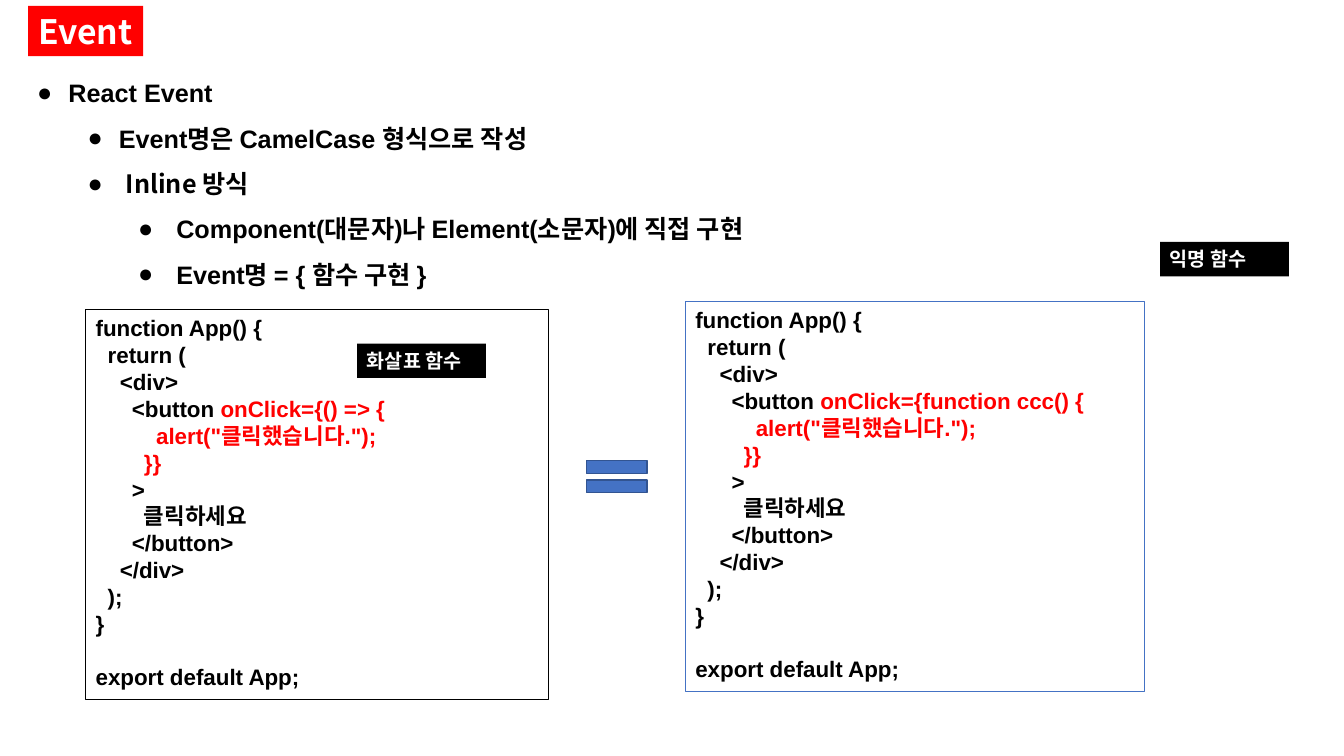
from dataclasses import dataclass

from lxml.etree import SubElement
from pptx import Presentation
from pptx.dml.color import RGBColor
from pptx.enum.shapes import MSO_SHAPE as Preset
from pptx.enum.text import MSO_ANCHOR as Anchor, PP_ALIGN as Align
from pptx.oxml.ns import qn
from pptx.util import Inches, Pt

COLORS = {"black": "000000", "white": "FFFFFF", "red": "FF0000",
          "blue": "4472C4", "navy": "325491"}
LATIN, KOREAN = "Arial", "Noto Sans CJK KR"
COLUMNS, ROWS = 32, 18
CODE_INDENT = 0.12
CODE_LINE = 19

presentation = Presentation()
presentation.slide_width = Inches(40 / 3)
presentation.slide_height = Inches(7.5)
slide = presentation.slides.add_slide(presentation.slide_layouts[6])


@dataclass
class Area:
    column: float
    row: float
    columns: float
    rows: float

    def box(self) -> tuple:
        width = presentation.slide_width / COLUMNS
        height = presentation.slide_height / ROWS
        return (round(self.column * width), round(self.row * height),
                round(self.columns * width), round(self.rows * height))


@dataclass
class Label:
    text: str
    area: Area
    fill: str
    size: int


@dataclass
class Bullet:
    text: str
    level: int
    left: float
    hanging: float
    font: str = LATIN
    align: Align = Align.JUSTIFY


@dataclass
class CodeLine:
    level: int
    text: str = ""
    handler: str = ""
    space_before: int = 0


@dataclass
class CodeBox:
    area: Area
    border: str
    opening: str


def rgb(name: str) -> RGBColor:
    return RGBColor.from_string(COLORS[name])


def style_run(run, size: int, color: str, font: str) -> None:
    run.font.size = Pt(size)
    run.font.bold = True
    run.font.name = font
    run.font.color.rgb = rgb(color)
    SubElement(run.font._element, qn("a:ea"), typeface=KOREAN)


def set_indent(paragraph, left: float, hanging: float = 0):
    properties = paragraph._p.get_or_add_pPr()
    properties.set("marL", str(Inches(left)))
    properties.set("indent", str(-Inches(hanging)))
    return properties


def paragraph_at(text_frame, index: int):
    return text_frame.add_paragraph() if index else text_frame.paragraphs[0]


def draw_shape(preset: Preset, area: Area, fill: str = "", line: str = "",
               line_width: float = 0.75):
    shape = slide.shapes.add_shape(preset, *area.box())
    shape.shadow.inherit = False
    if fill:
        shape.fill.solid()
        shape.fill.fore_color.rgb = rgb(fill)
    else:
        shape.fill.background()
    if line:
        shape.line.color.rgb = rgb(line)
        shape.line.width = Pt(line_width)
    else:
        shape.line.fill.background()
    shape.text_frame.word_wrap = True
    shape.text_frame.vertical_anchor = Anchor.TOP
    return shape


def draw_label(label: Label) -> None:
    text_frame = draw_shape(Preset.RECTANGLE, label.area, label.fill).text_frame
    text_frame.text = label.text
    paragraph = text_frame.paragraphs[0]
    paragraph.alignment = Align.LEFT
    style_run(paragraph.runs[0], label.size, "white", KOREAN)


def draw_bullets(area: Area, bullets: list[Bullet]) -> None:
    text_frame = slide.shapes.add_textbox(*area.box()).text_frame
    text_frame.word_wrap = True
    for index, bullet in enumerate(bullets):
        paragraph = paragraph_at(text_frame, index)
        paragraph.text = bullet.text
        paragraph.level = bullet.level
        paragraph.alignment = bullet.align
        paragraph.line_spacing = 1.5
        properties = set_indent(paragraph, bullet.left, bullet.hanging)
        SubElement(properties, qn("a:buFont"), typeface=LATIN)
        SubElement(properties, qn("a:buChar"), char="●")
        style_run(paragraph.runs[0], 18, "black", bullet.font)


def draw_code(code: CodeBox) -> None:
    lines = [
        CodeLine(0, "function App() {"),
        CodeLine(1, "return ("),
        CodeLine(2, "<div>"),
        CodeLine(3, "<button ", code.opening),
        CodeLine(5, handler='alert("클릭했습니다.");'),
        CodeLine(4, handler="}}"),
        CodeLine(3, ">"),
        CodeLine(4, "클릭하세요"),
        CodeLine(3, "</button>"),
        CodeLine(2, "</div>"),
        CodeLine(1, ");"),
        CodeLine(0, "}"),
        CodeLine(0, "export default App;", space_before=CODE_LINE),
    ]
    text_frame = draw_shape(Preset.RECTANGLE, code.area, line=code.border).text_frame
    for index, line in enumerate(lines):
        paragraph = paragraph_at(text_frame, index)
        paragraph.alignment = Align.LEFT
        paragraph.space_before = Pt(line.space_before)
        set_indent(paragraph, line.level * CODE_INDENT)
        for text, color in ((line.text, "black"), (line.handler, "red")):
            if text:
                run = paragraph.add_run()
                run.text = text
                style_run(run, 16, color, LATIN)


draw_bullets(Area(0.65, 1.37, 22.78, 5.54), [
    Bullet("React Event", 0, 0.31, 0.31),
    Bullet("Event명은 CamelCase 형식으로 작성", 1, 0.81, 0.31),
    Bullet("Inline 방식", 1, 0.88, 0.38, KOREAN, Align.LEFT),
    Bullet("Component(대문자)나 Element(소문자)에 직접 구현", 2, 1.38, 0.38),
    Bullet("Event명 = { 함수 구현 }", 2, 1.38, 0.38),
])

for code_box in (
    CodeBox(Area(2.04, 7.37, 11.02, 9.29), "black", "onClick={() => {"),
    CodeBox(Area(16.32, 7.18, 10.94, 9.29), "blue", "onClick={function ccc() {"),
):
    draw_code(code_box)

draw_shape(Preset.MATH_EQUAL, Area(13.7, 10.7, 1.97, 1.3), "blue", "navy", 1)

for caption in (
    Label("Event", Area(0.67, 0.14, 2.74, 1.2), "red", 24),
    Label("화살표 함수", Area(8.5, 8.18, 3.07, 0.82), "black", 14),
    Label("익명 함수", Area(27.62, 5.76, 3.07, 0.82), "black", 14),
):
    draw_label(caption)

presentation.save("out.pptx")
